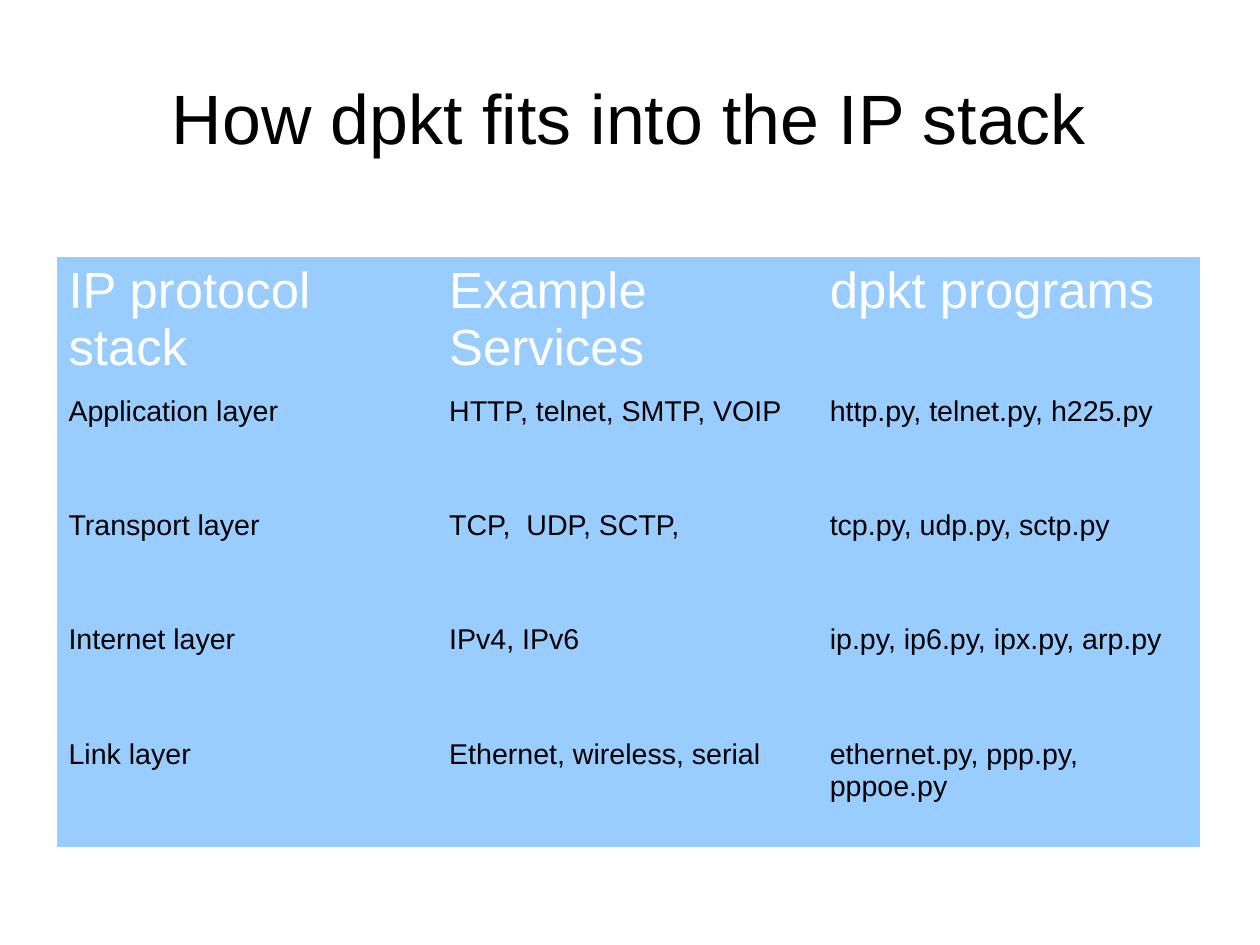
from dataclasses import dataclass

from pptx import Presentation
from pptx.dml.color import RGBColor
from pptx.enum.text import MSO_ANCHOR, PP_ALIGN
from pptx.slide import Slide
from pptx.table import _Cell
from pptx.text.text import TextFrame
from pptx.util import Inches, Pt

LEFT, CENTER = PP_ALIGN.LEFT, PP_ALIGN.CENTER
TOP, MIDDLE = MSO_ANCHOR.TOP, MSO_ANCHOR.MIDDLE
TAG = "{http://schemas.openxmlformats.org/drawingml/2006/main}"
FONT = "Arial"
COLORS = {"ink": "000000", "head": "FFFFFF", "cell": "99CCFF"}
WIDTHS = (3.33, 3.33, 3.34)
CM = 1 / 2.54  # inches in a centimetre


@dataclass
class Row:
    texts: tuple[str, str, str]
    height: float = 1.0
    size: int = 18
    color: str = "ink"


ROWS = [
    Row(("IP protocol stack", "Example Services", "dpkt programs"), 1.16, 32, "head"),
    Row(("Application layer", "HTTP, telnet, SMTP, VOIP", "http.py, telnet.py, h225.py")),
    Row(("Transport layer", "TCP,  UDP, SCTP,", "tcp.py, udp.py, sctp.py")),
    Row(("Internet layer", "IPv4, IPv6", "ip.py, ip6.py, ipx.py, arp.py")),
    Row(("Link layer", "Ethernet, wireless, serial", "ethernet.py, ppp.py, pppoe.py")),
]


def write(frame: TextFrame, text: str, *, size: int, color: str = "ink",
          align: PP_ALIGN = LEFT) -> None:
    frame.word_wrap = True
    para = frame.paragraphs[0]
    para.alignment = align
    run = para.add_run()
    run.text = text
    font = run.font
    font.name, font.size, font.bold = FONT, Pt(size), False
    font.color.rgb = RGBColor.from_string(COLORS[color])


def add_title(slide: Slide, text: str) -> None:
    title = slide.shapes.title
    title.left, title.top = Inches(0.55), Inches(0.33)
    title.width, title.height = Inches(9.92), Inches(1.38)
    frame = title.text_frame
    frame.margin_left = frame.margin_right = 0
    frame.margin_top = frame.margin_bottom = 0
    frame.vertical_anchor = MIDDLE
    write(frame, text, size=44, align=CENTER)


def clear_edges(cell: _Cell) -> None:
    props = cell._tc.get_or_add_tcPr()
    for spot, side in enumerate(("lnL", "lnR", "lnT", "lnB")):
        edge = props.makeelement(TAG + side, {"w": "0"})
        edge.append(edge.makeelement(TAG + "noFill", {}))
        props.insert(spot, edge)


def add_stack(slide: Slide, rows: list[Row]) -> None:
    high = sum(row.height for row in rows)
    table = slide.shapes.add_table(
        len(rows), len(WIDTHS), Inches(0.5), Inches(2.25),
        Inches(sum(WIDTHS)), Inches(high)).table
    table.first_row = table.horz_banding = False
    for col, width in zip(table.columns, WIDTHS):
        col.width = Inches(width)
    for line, row in zip(table.rows, rows):
        line.height = Inches(row.height)
        for cell, text in zip(line.cells, row.texts):
            cell.fill.solid()
            cell.fill.fore_color.rgb = RGBColor.from_string(COLORS["cell"])
            cell.vertical_anchor = TOP
            clear_edges(cell)
            write(cell.text_frame, text, size=row.size, color=row.color)


def main() -> None:
    deck = Presentation()
    deck.slide_width = Inches(28 * CM)
    deck.slide_height = Inches(21 * CM)
    # Title Only layout
    slide = deck.slides.add_slide(deck.slide_layouts[5])
    # Heading
    add_title(slide, "How dpkt fits into the IP stack")
    # Protocol layers
    add_stack(slide, ROWS)
    deck.save("out.pptx")


if __name__ == "__main__":
    main()
